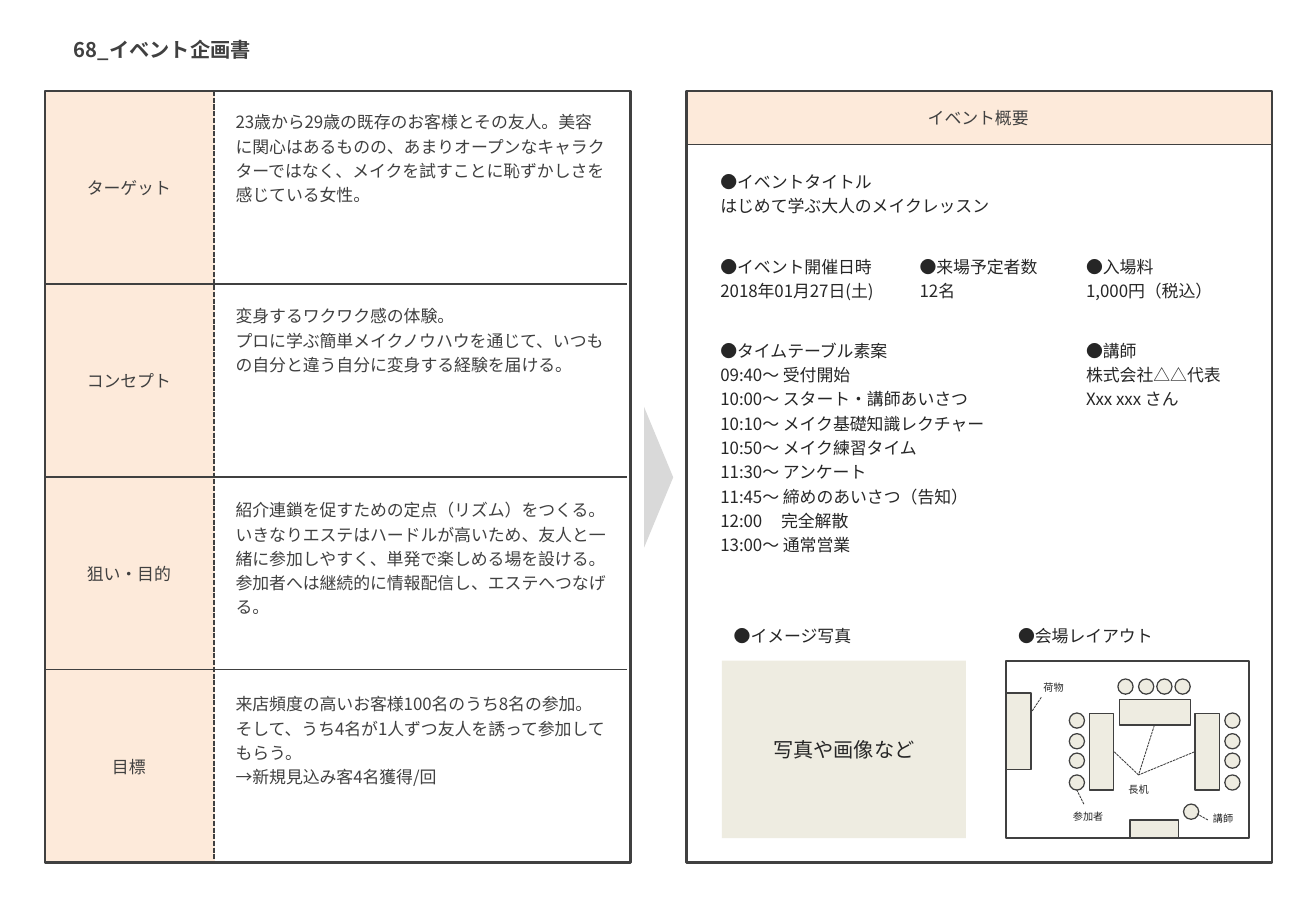
from lxml import etree
from pptx import Presentation
from pptx.dml.color import RGBColor
from pptx.enum.dml import MSO_LINE
from pptx.enum.shapes import MSO_CONNECTOR, MSO_SHAPE
from pptx.enum.text import MSO_ANCHOR, PP_ALIGN
from pptx.oxml.ns import qn
from pptx.util import Inches, Pt

RECT, OVAL, WEDGE = MSO_SHAPE.RECTANGLE, MSO_SHAPE.OVAL, MSO_SHAPE.ISOSCELES_TRIANGLE
LEFT, CENTER = PP_ALIGN.LEFT, PP_ALIGN.CENTER
TOP, MIDDLE = MSO_ANCHOR.TOP, MSO_ANCHOR.MIDDLE
STRAIGHT, DASH = MSO_CONNECTOR.STRAIGHT, MSO_LINE.SQUARE_DOT
FONT = "Noto Sans CJK JP"
GRAY, INK, PEACH, SAND, PALE = "404040", "262626", "FDEADA", "EEECE1", "D9D9D9"


def color(code):
    return RGBColor.from_string(code)


def cell(count):
    """Grid columns and rows are a tenth of an inch."""
    return Inches(count / 10)


class Sheet:
    def __init__(self, slide):
        self.slide = slide
        self.shapes = slide.shapes

    def shape(self, kind, x, y, w, h, fill=None, width=None, turn=0):
        item = self.shapes.add_shape(kind, cell(x), cell(y), cell(w), cell(h))
        item.shadow.inherit = False
        item.rotation = turn
        if fill:
            item.fill.solid()
            item.fill.fore_color.rgb = color(fill)
        else:
            item.fill.background()
        if width:
            item.line.color.rgb = color(GRAY)
            item.line.width = Pt(width)
        else:
            item.line.fill.background()
        return item

    def line(self, x1, y1, x2, y2, width=1, dash=None):
        item = self.shapes.add_connector(STRAIGHT, cell(x1), cell(y1), cell(x2), cell(y2))
        item.line.color.rgb = color(GRAY)
        item.line.width = Pt(width)
        if dash:
            item.line.dash_style = dash
        etree.SubElement(item._element.spPr, qn("a:effectLst"))

    def words(self, item, lines, size=10, tint=INK, align=LEFT, anchor=TOP,
              space=1.2, bold=False):
        frame = item.text_frame
        frame.word_wrap = True
        frame.vertical_anchor = anchor
        for i, line in enumerate(lines):
            para = frame.add_paragraph() if i else frame.paragraphs[0]
            para.text = line
            para.alignment = align
            para.line_spacing = space
            if "\t" in line:
                tabs = etree.SubElement(para._p.get_or_add_pPr(), qn("a:tabLst"))
                etree.SubElement(tabs, qn("a:tab"), pos=str(cell(5)), algn="l")
            font = para.font
            font.name, font.size, font.bold = FONT, Pt(size), bold
            font.color.rgb = color(tint)
            etree.SubElement(font._element, qn("a:ea"), typeface=FONT)

    def text(self, x, y, w, h, lines, **style):
        box = self.shapes.add_textbox(cell(x), cell(y), cell(w), cell(h))
        self.words(box, lines, **style)

    def label(self, x, y, w, line):
        self.text(x, y, w, 3, [line], tint=GRAY, align=CENTER, anchor=MIDDLE, space=1)


# Plan rows: label, body height, body lines
PLAN = [
    ("ターゲット", 9, ["23歳から29歳の既存のお客様とその友人。美容に関心はあるものの、"
                  "あまりオープンなキャラクターではなく、メイクを試すことに恥ずかしさを感じている女性。"]),
    ("コンセプト", 7.1, ["変身するワクワク感の体験。",
                    "プロに学ぶ簡単メイクノウハウを通じて、いつもの自分と違う自分に変身する経験を届ける。"]),
    ("狙い・目的", 11, ["紹介連鎖を促すための定点（リズム）をつくる。いきなりエステはハードルが高いため、"
                   "友人と一緒に参加しやすく、単発で楽しめる場を設ける。"
                   "参加者へは継続的に情報配信し、エステへつなげる。"]),
    ("目標", 9, ["来店頻度の高いお客様100名のうち8名の参加。"
               "そして、うち4名が1人ずつ友人を誘って参加してもらう。",
               "→新規見込み客4名獲得/回"]),
]

# Outline blocks: left, top, width, height, lines
FACTS = [
    (58.3, 13.3, 31.7, 5.5, ["●イベントタイトル", "はじめて学ぶ大人のメイクレッスン"]),
    (58.3, 20.3, 16.4, 5.5, ["●イベント開催日時", "2018年01月27日(土)"]),
    (74.7, 20.3, 13.6, 5.5, ["●来場予定者数", "12名"]),
    (88.4, 20.3, 14.6, 5.5, ["●入場料", "1,000円（税込）"]),
    (58.3, 27.2, 29.7, 21.2, [
        "●タイムテーブル素案", "09:40〜 受付開始", "10:00〜 スタート・講師あいさつ",
        "10:10〜 メイク基礎知識レクチャー", "10:50〜 メイク練習タイム", "11:30〜 アンケート",
        "11:45〜 締めのあいさつ（告知）", "12:00\t完全解散", "13:00〜 通常営業"]),
    (88.4, 27.2, 14.6, 7.8, ["●講師", "株式会社△△代表", "Xxx xxx さん"]),
    (59.4, 50.7, 20, 3.3, ["●イメージ写真"]),
    (82.8, 50.7, 20, 3.3, ["●会場レイアウト"]),
]

# Venue layout: desks, seats, captions and their leaders
DESKS = [(93, 67.5, 4, 1.5), (82.85, 57.05, 2, 6.3), (89.65, 58.75, 2, 6.3),
         (98.35, 58.75, 2, 6.3), (92.1, 57.6, 5.9, 2.1)]
SEATS = [(x, y) for x in (88, 100.8) for y in (58.7, 60.4, 62, 63.8)]
SEATS += [(x, 55.9) for x in (92, 93.7, 95.2, 96.7)] + [(97.4, 66.2)]
NOTES = [("講師", 98.4, 66.2, 4.5), ("長机", 91.8, 63.8, 3.8),
         ("荷物", 84.8, 55.4, 3.8), ("参加者", 87.1, 66, 4.9)]
LEADS = [(91.7, 61.9, 93.7, 63.8), (95, 59.7, 93.7, 63.8), (98.3, 61.9, 93.7, 63.8),
         (85.7, 57.4, 84.9, 58.6), (99.4, 67.5, 98.5, 67), (89.2, 66.2, 88.6, 65)]

EDGE, HEAD, WIDE, TALL = 3.7, 7.5, 48.2, 63.5
SIDE = 56.4
STEP = TALL / len(PLAN)


def main():
    deck = Presentation()
    deck.slide_width, deck.slide_height = Inches(10.83), Inches(7.5)
    sheet = Sheet(deck.slides.add_slide(deck.slide_layouts[6]))

    # Title and arrow between the panels
    sheet.text(5.1, 2.6, 20, 3, ["68_イベント企画書"], size=12, tint=GRAY, bold=True, space=1)
    sheet.shape(WEDGE, 48.4, 38.1, 11.6, 2.4, PALE, turn=90)

    # Plan panel
    sheet.shape(RECT, EDGE, HEAD, 14, TALL, PEACH)
    sheet.line(17.6, HEAD, 17.6, HEAD + TALL, dash=DASH)
    for i, (name, high, lines) in enumerate(PLAN):
        top = HEAD + i * STEP
        if i:
            sheet.line(EDGE, top, 51.6, top)
        sheet.label(EDGE, top + 6.5, 13.8, name)
        sheet.text(18.4, 8.4 + i * 15.97, 32.5, high, lines, tint=GRAY)
    sheet.shape(RECT, EDGE, HEAD, WIDE, TALL, width=1.5)

    # Outline panel
    sheet.shape(RECT, SIDE, HEAD, WIDE, 4.4, PEACH)
    sheet.label(68.5, 8.2, 24, "イベント概要")
    sheet.line(SIDE, 11.9, SIDE + WIDE, 11.9)
    sheet.shape(RECT, SIDE + 0.1, HEAD, WIDE, TALL, width=1.5)
    for *place, lines in FACTS:
        sheet.text(*place, lines)
    photo = sheet.shape(RECT, 59.4, 54.4, 20.1, 14.6, SAND)
    sheet.words(photo, ["写真や画像など"], size=12, align=CENTER, anchor=MIDDLE, space=1)

    # Venue layout
    sheet.shape(RECT, 82.8, 54.4, 20, 14.6, width=1)
    for desk in DESKS:
        sheet.shape(RECT, *desk, SAND, 0.75)
    for x, y in SEATS:
        sheet.shape(OVAL, x, y, 1.25, 1.25, SAND, 0.75)
    for name, x, y, w in NOTES:
        sheet.text(x, y, w, 2.4, [name], size=6, align=CENTER)
    for lead in LEADS:
        sheet.line(*lead, width=0.5, dash=DASH)

    deck.save("out.pptx")


if __name__ == "__main__":
    main()
